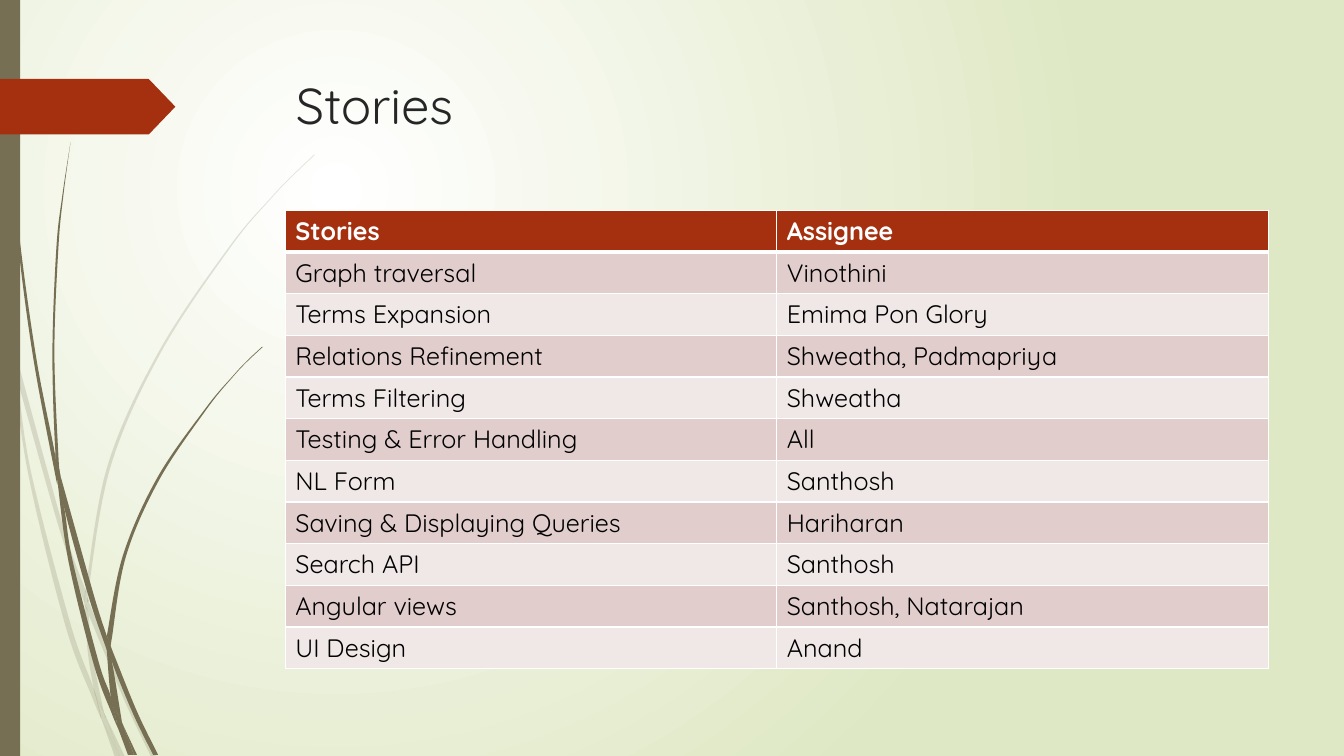
"""Build the slide that lists project stories and their assignees."""
from lxml import etree
from pptx import Presentation
from pptx.dml.color import RGBColor
from pptx.enum.shapes import MSO_SHAPE
from pptx.oxml.ns import qn
from pptx.util import Cm, Pt

RECT, TAG = MSO_SHAPE.RECTANGLE, MSO_SHAPE.PENTAGON
FONT = "Quicksand"
COLORS = {"white": "FFFFFF", "green": "DFE8C4", "olive": "766F54", "rust": "A53010",
          "title": "262626", "text": "000000", "odd": "E1CDCC", "even": "F0E8E7"}
CM_PER_INCH = 2.54

TITLE = "Stories"
HEADER = ("Stories", "Assignee")
STORIES = [
    ("Graph traversal", "Vinothini"),
    ("Terms Expansion", "Emima Pon Glory"),
    ("Relations Refinement", "Shweatha, Padmapriya"),
    ("Terms Filtering", "Shweatha"),
    ("Testing & Error Handling", "All"),
    ("NL Form", "Santhosh"),
    ("Saving & Displaying Queries", "Hariharan"),
    ("Search API", "Santhosh"),
    ("Angular views", "Santhosh, Natarajan"),
    ("UI Design", "Anand"),
]

# Each piece of grass has two smooth edges of (x, y) points in inches.
PALE_GRASS = [
    ([(0, 2.82), (.09, 3.22), (.11, 3.5)], [(.11, 3.5), (.1, 3.44), (0, 2.99)]),
    ([(.14, 3.45), (.62, 5.2), (.85, 5.86)], [(.84, 5.99), (.58, 5.22), (.17, 3.76)]),
    ([(.88, 5.96), (.92, 6.07), (1.27, 6.92), (1.55, 7.51)],
     [(1.5, 7.51), (1.23, 6.94), (.88, 6.1)]),
    ([(1.05, 7.11), (1.24, 7.51)], [(1.19, 7.51), (1.05, 7.11)]),
    ([(.11, 3.5), (.17, 3.76), (.31, 4.69), (.7, 6.19), (.93, 6.83), (1.01, 7.14)],
     [(1.01, 7.14), (.92, 6.93), (.65, 6.21), (.28, 4.7), (.11, 3.5)]),
    ([(.84, 5.99), (.88, 6.1), (.91, 6.46), (1.03, 7.06), (1.05, 7.11)],
     [(1.05, 7.11), (.96, 6.92), (.93, 6.83), (.87, 6.46), (.84, 5.99)]),
    ([(3.12, 1.53), (2.89, 1.75), (2.68, 1.97), (2.28, 2.44), (1.58, 3.48),
      (1.07, 4.61), (.85, 5.84), (.85, 5.86)],
     [(.88, 5.96), (.88, 5.84), (1.1, 4.62), (1.6, 3.49), (2.29, 2.45),
      (2.68, 1.98), (2.9, 1.75), (3.12, 1.54)]),
    ([(1.01, 7.14), (1.14, 7.51)], [(1.19, 7.51), (1.01, 7.14)]),
    ([(.88, 6.08), (.88, 6.1), (.88, 5.96)], [(.85, 5.86), (.84, 5.99), (.88, 6.08)]),
    ([(.93, 6.83), (.99, 7.07), (1.01, 7.14), (1.19, 7.51)],
     [(1.19, 7.51), (1.05, 7.11), (.96, 6.92), (.93, 6.83)]),
]
DARK_GRASS = [
    ([(.04, 0), (.05, .48), (.08, 1.09), (.19, 2.32), (.36, 3.55), (.55, 4.53), (.57, 4.81)],
     [(.56, 4.77), (.33, 3.55), (.17, 2.33), (.07, 1.1), (.04, .48), (.03, 0)]),
    ([(.6, 4.72), (.93, 5.9), (1.06, 6.31)], [(1.06, 6.45), (.88, 5.92), (.64, 5.05), (.6, 4.72)]),
    ([(1.1, 6.41), (1.13, 6.49), (1.36, 7.06), (1.57, 7.49)],
     [(1.52, 7.49), (1.32, 7.08), (1.11, 6.56), (1.1, 6.41)]),
    ([(.57, 4.77), (.64, 5.05), (.72, 5.56), (.98, 6.57), (1.1, 6.91), (1.17, 7.22)],
     [(1.17, 7.22), (1.11, 7.08), (.93, 6.59), (.68, 5.57), (.57, 4.77)]),
    ([(.7, 1.41), (.63, 1.93), (.58, 2.45), (.54, 3.49), (.58, 4.53), (.6, 4.72)],
     [(.6, 4.72), (.55, 4.49), (.52, 3.49), (.56, 2.45), (.62, 1.93), (.7, 1.41)]),
    ([(1.22, 7.19), (1.36, 7.49)], [(1.33, 7.49), (1.22, 7.19)]),
    ([(.55, 4.49), (.6, 4.72), (.64, 5.05)], [(.64, 5.05), (.57, 4.77), (.55, 4.53)]),
    ([(2.6, 3.44), (2.45, 3.58), (2.31, 3.73), (2.04, 4.05), (1.56, 4.74),
      (1.22, 5.51), (1.06, 6.31)],
     [(1.1, 6.41), (1.11, 6.33), (1.25, 5.52), (1.58, 4.76), (2.05, 4.06),
      (2.31, 3.74), (2.45, 3.59), (2.61, 3.44)]),
    ([(1.17, 7.22), (1.31, 7.49)], [(1.27, 7.49), (1.17, 7.22)]),
    ([(1.06, 6.45), (1.11, 6.56), (1.21, 7.16), (1.22, 7.19)],
     [(1.22, 7.19), (1.16, 7.06), (1.1, 6.91), (1.06, 6.45)]),
    ([(1.06, 6.31), (1.1, 6.41), (1.11, 6.56)], [(1.11, 6.56), (1.06, 6.45), (1.06, 6.31)]),
    ([(1.1, 6.91), (1.16, 7.06), (1.22, 7.19), (1.33, 7.49)],
     [(1.3, 7.49), (1.17, 7.22), (1.16, 7.17), (1.1, 6.91)]),
]


def rgb(name):
    return RGBColor.from_string(COLORS[name])


def sub(parent, tag, **attrs):
    return etree.SubElement(parent, qn(tag), {k: str(v) for k, v in attrs.items()})


def paint(shape, color, alpha=None):
    shape.shadow.inherit = False
    shape.fill.solid()
    shape.fill.fore_color.rgb = rgb(color)
    shape.line.fill.background()
    if alpha:
        sub(shape._element.spPr.find(".//" + qn("a:srgbClr")), "a:alpha", val=alpha * 1000)


def emu(point):
    return tuple(Cm(v * CM_PER_INCH) for v in point)


def edge_curves(edge):
    padded = [edge[0], *edge, edge[-1]]
    points = []
    for a, b, c, d in zip(padded, padded[1:], padded[2:], padded[3:]):
        points += [[q + (r - p) / 6 for p, q, r in zip(a, b, c)],
                   [r - (u - q) / 6 for q, r, u in zip(b, c, d)], c]
    return points


def add_grass(near, far, alpha=None):
    points = edge_curves(near)
    if near[-1] != far[0]:
        points += [near[-1], far[0], far[0]]
    points += edge_curves(far)
    fb = s.shapes.build_freeform(*emu(near[0]))
    fb.add_line_segments([emu(point) for point in points], close=True)
    shape = fb.convert_to_shape()
    lines = list(shape._element.iter(qn("a:lnTo")))
    for trio in zip(lines[::3], lines[1::3], lines[2::3]):
        curve = etree.Element(qn("a:cubicBezTo"))
        trio[0].addprevious(curve)
        for line in trio:
            curve.append(line[0])
            line.getparent().remove(line)
    paint(shape, "olive", alpha)


def add_text(tf, text, size, color, bold=False):
    r = tf.paragraphs[0].add_run()
    r.text = text
    r.font.name, r.font.size, r.font.bold = FONT, Pt(size), bold
    r.font.color.rgb = rgb(color)


def add_borders(cell, widths):
    tc_pr = cell._tc.get_or_add_tcPr()
    for i, (side, width) in enumerate(widths.items()):
        ln = etree.Element(qn("a:ln" + side), w=str(Pt(width)))
        sub(sub(ln, "a:solidFill"), "a:srgbClr", val=COLORS["white"])
        tc_pr.insert(i, ln)


prs = Presentation()
prs.slide_width, prs.slide_height = Cm(33.87), Cm(19.05)
s = prs.slides.add_slide(prs.slide_layouts[6])

fill = s.background.fill
fill.gradient()
for stop, color, position in zip(fill.gradient_stops, ("white", "green"), (0, 1)):
    stop.color.rgb, stop.position = rgb(color), position
grad = s._element.find(".//" + qn("a:gradFill"))
grad.remove(grad.find(qn("a:lin")))
sub(sub(grad, "a:path", path="circle"), "a:fillToRect", l=50000, t=50000, r=100000, b=100000)

for pieces, alpha in ((PALE_GRASS, 20), (DARK_GRASS, None)):
    for near, far in pieces:
        add_grass(near, far, alpha)

bar = s.shapes.add_shape(RECT, 0, 0, Cm(.51), prs.slide_height)
paint(bar, "olive")
tag = s.shapes.add_shape(TAG, 0, Cm(1.99), Cm(4.42), Cm(1.4))
tag.adjustments[0] = .48
paint(tag, "rust")

tf = s.shapes.add_textbox(Cm(7.21), Cm(1.74), Cm(24.77), Cm(3.56)).text_frame
tf.word_wrap = True
add_text(tf, TITLE, 36, "title")

rows = [HEADER, *STORIES]
row_height = Cm(1.05)
table = s.shapes.add_table(len(rows), len(HEADER), Cm(7.19), Cm(5.3),
                           Cm(24.77), row_height * len(rows)).table
for i, row in enumerate(rows):
    table.rows[i].height = row_height
    head = i == 0
    for j, text in enumerate(row):
        cell = table.cell(i, j)
        cell.fill.solid()
        cell.fill.fore_color.rgb = rgb("rust" if head else "odd" if i % 2 else "even")
        add_borders(cell, {"L": 1, "R": 1, "T": 3 if i == 1 else 1, "B": 3 if head else 1})
        add_text(cell.text_frame, text, 18, "white" if head else "text", head)

prs.save("out.pptx")
